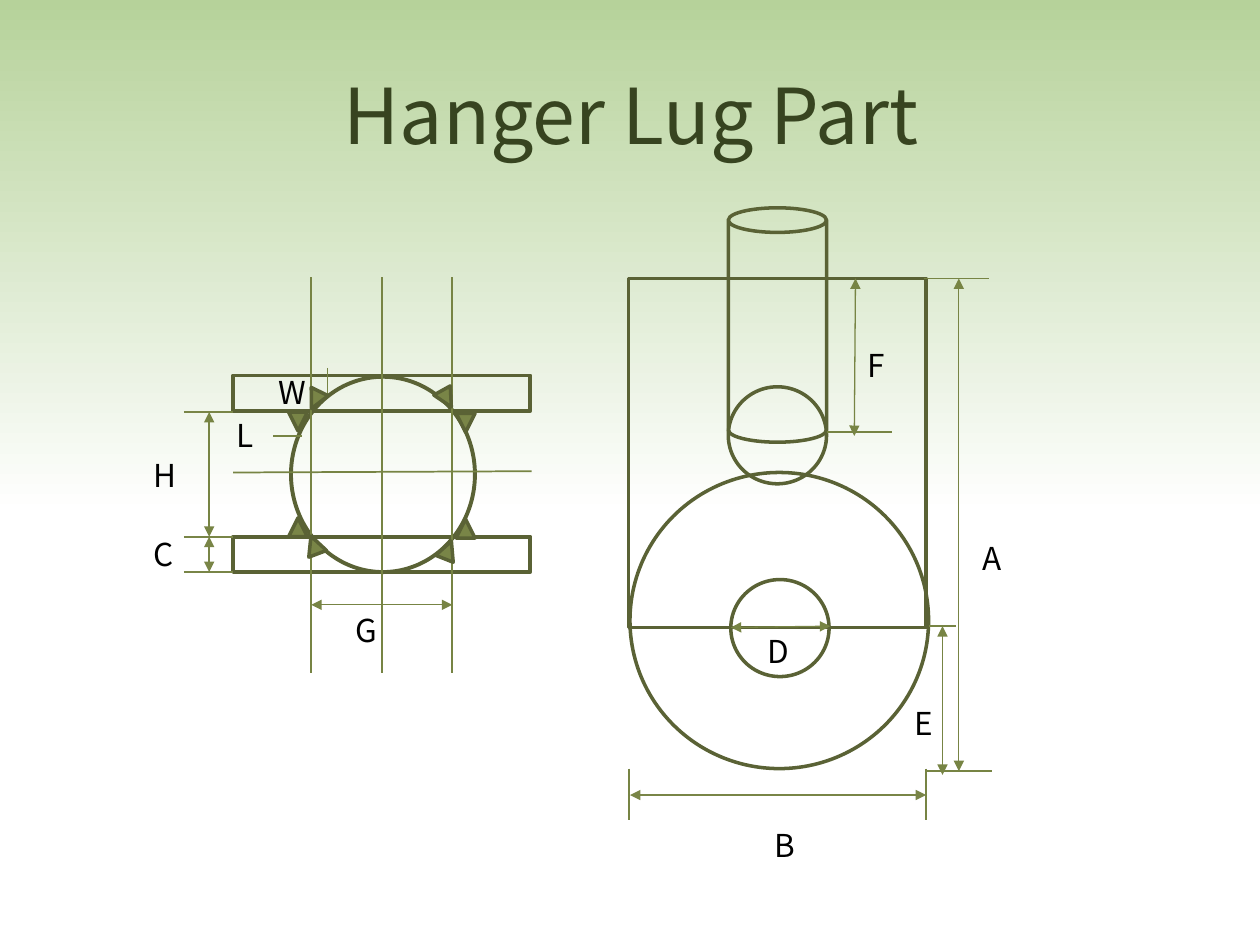
from dataclasses import dataclass
from typing import Optional

from lxml.etree import SubElement
from pptx import Presentation
from pptx.dml.color import RGBColor
from pptx.enum.shapes import MSO_CONNECTOR, MSO_SHAPE
from pptx.enum.text import MSO_ANCHOR, MSO_AUTO_SIZE, PP_ALIGN
from pptx.oxml.ns import qn
from pptx.util import Inches, Pt

DARK = RGBColor(0x5A, 0x62, 0x35)
OLIVE = RGBColor(0x77, 0x84, 0x44)
MOSS = RGBColor(0x79, 0x85, 0x47)
GREEN = RGBColor(0xB6, 0xD2, 0x9A)
WHITE = RGBColor(0xFF, 0xFF, 0xFF)
PINE = RGBColor(0x37, 0x44, 0x20)
BLACK = RGBColor(0, 0, 0)
FACE = "Noto Sans CJK KR"


@dataclass
class Part:
    kind: MSO_SHAPE
    x: float
    y: float
    w: float
    h: float
    thick: float = 2
    turn: float = 0
    fill: Optional[RGBColor] = None


@dataclass
class Rule:
    x1: float
    y1: float
    x2: float
    y2: float
    thick: float = 1
    arrow: bool = False
    color: RGBColor = OLIVE


@dataclass
class Label:
    text: str
    x: float
    y: float
    w: float
    h: float = 0.4


def span(x1: float, y1: float, x2: float, y2: float,
         thick: float = 0.75, color: RGBColor = OLIVE) -> Rule:
    """A dimension line with an arrowhead at both ends."""
    return Rule(x1, y1, x2, y2, thick, True, color)


def draw_part(slide, part: Part):
    box = [Inches(n) for n in (part.x, part.y, part.w, part.h)]
    shape = slide.shapes.add_shape(part.kind, *box)
    shape.shadow.inherit = False
    shape.rotation = part.turn
    if part.fill is None:
        shape.fill.background()
    else:
        shape.fill.solid()
        shape.fill.fore_color.rgb = part.fill
    shape.line.color.rgb = DARK
    shape.line.width = Pt(part.thick)


def draw_rule(slide, rule: Rule):
    ends = [Inches(n) for n in (rule.x1, rule.y1, rule.x2, rule.y2)]
    line = slide.shapes.add_connector(MSO_CONNECTOR.STRAIGHT, *ends)
    line.line.color.rgb = rule.color
    line.line.width = Pt(rule.thick)
    props = line._element.spPr
    if rule.arrow:
        stroke = props.find(qn("a:ln"))
        for tag in ("a:headEnd", "a:tailEnd"):
            SubElement(stroke, qn(tag), type="triangle")
    SubElement(props, qn("a:effectLst"))


def draw_text(slide, label: Label, frame: dict, font: dict, color: RGBColor,
              align: PP_ALIGN = PP_ALIGN.LEFT):
    place = [Inches(n) for n in (label.x, label.y, label.w, label.h)]
    text = slide.shapes.add_textbox(*place).text_frame
    for key, value in frame.items():
        setattr(text, key, value)
    para = text.paragraphs[0]
    para.alignment = align
    run = para.add_run()
    run.text = label.text
    for key, value in font.items():
        setattr(run.font, key, value)
    run.font.color.rgb = color


def draw_fade(slide):
    band = slide.shapes.add_shape(MSO_SHAPE.RECTANGLE, 0, 0, Inches(10), Inches(4.08))
    band.shadow.inherit = False
    band.line.fill.background()
    band.fill.gradient()
    band.fill.gradient_angle = 270
    for stop, spot, color in zip(band.fill.gradient_stops, (0, 1), (GREEN, WHITE)):
        stop.position = spot
        stop.color.rgb = color


# Top view: two plates around a rod
PLATES = [Part(MSO_SHAPE.RECTANGLE, 1.85, y, 2.36, 0.28, 2.25) for y in (2.98, 4.26)]
ROD = Part(MSO_SHAPE.OVAL, 2.31, 2.99, 1.46, 1.55, 2.25)
WELDS = [Part(MSO_SHAPE.ISOSCELES_TRIANGLE, x, y, 0.15, 0.15, 2, turn, MOSS)
         for x, y, turn in (
             (2.29, 4.11, 0), (3.62, 4.12, 0), (2.29, 3.27, 180), (3.62, 3.28, 180),
             (2.43, 3.1, 206), (2.42, 4.25, 339.4), (3.47, 3.09, 150.8), (3.48, 4.29, 21.6))]
TOP_RULES = [
    *(Rule(x, 2.2, x, 5.34) for x in (2.47, 3.03, 3.59)),
    Rule(4.22, 3.74, 1.85, 3.75),
    *(Rule(1.46, y, 1.85, y, color=MOSS) for y in (3.27, 4.26, 4.54)),
    span(2.47, 4.8, 3.59, 4.8),
    span(1.66, 3.27, 1.66, 4.26),
    span(1.66, 4.26, 1.66, 4.54, color=MOSS),
    Rule(2.17, 3.46, 2.4, 3.46),
    Rule(2.6, 2.92, 2.6, 3.14),
]

# Front view: rod on a round-ended lug
LUG = [
    Part(MSO_SHAPE.CAN, 5.78, 1.65, 0.78, 1.86),
    Part(MSO_SHAPE.RECTANGLE, 4.99, 2.21, 2.36, 2.77),
    Part(MSO_SHAPE.OVAL, 5, 3.75, 2.37, 2.35),
    Part(MSO_SHAPE.OVAL, 5.78, 3.07, 0.78, 0.77),
    Part(MSO_SHAPE.OVAL, 5.8, 4.6, 0.78, 0.77),
]
FRONT_RULES = [
    *(Rule(x, 6.1, x, 6.51) for x in (4.99, 7.35)),
    span(5, 6.31, 7.35, 6.31, 1, MOSS),
    Rule(7.35, 6.12, 7.87, 6.12),
    Rule(7.33, 2.21, 7.85, 2.21),
    span(7.61, 2.21, 7.61, 6.12),
    Rule(7.37, 4.97, 7.59, 4.97),
    span(7.48, 4.97, 7.48, 6.15),
    span(5.8, 4.98, 6.59, 4.97),
    Rule(6.56, 3.43, 7.08, 3.43),
    span(6.79, 2.21, 6.78, 3.46),
]

# Wording
TITLE = Label("Hanger Lug Part", 0.51, 0.28, 9, 1.25)
LABELS = [
    Label("G", 2.72, 4.8, 0.36), Label("C", 1.12, 4.2, 0.34),
    Label("H", 1.12, 3.57, 0.36), Label("L", 1.78, 3.25, 0.31),
    Label("W", 2.11, 2.91, 0.43), Label("B", 6.05, 6.51, 0.34),
    Label("A", 7.7, 4.23, 0.35), Label("E", 7.16, 5.54, 0.32),
    Label("D", 5.99, 4.97, 0.36), Label("F", 6.79, 2.7, 0.32),
]
HEAD_BOX = {"word_wrap": True, "vertical_anchor": MSO_ANCHOR.MIDDLE}
HEAD_FONT = {"name": FACE, "size": Pt(44)}
MARK_BOX = {"word_wrap": False, "auto_size": MSO_AUTO_SIZE.SHAPE_TO_FIT_TEXT}
MARK_FONT = {"name": FACE, "size": Pt(18)}


def main():
    deck = Presentation()
    deck.slide_width, deck.slide_height = Inches(10), Inches(7.5)
    slide = deck.slides.add_slide(deck.slide_layouts[6])

    # Backdrop and title
    draw_fade(slide)
    draw_text(slide, TITLE, HEAD_BOX, HEAD_FONT, PINE, PP_ALIGN.CENTER)

    # Both views, back to front
    for parts, rules, welds in (([*PLATES, ROD], TOP_RULES, WELDS), (LUG, FRONT_RULES, [])):
        for part in parts:
            draw_part(slide, part)
        for rule in rules:
            draw_rule(slide, rule)
        for weld in welds:
            draw_part(slide, weld)

    # Dimension letters
    for label in LABELS:
        draw_text(slide, label, MARK_BOX, MARK_FONT, BLACK)

    deck.save("out.pptx")


if __name__ == "__main__":
    main()
